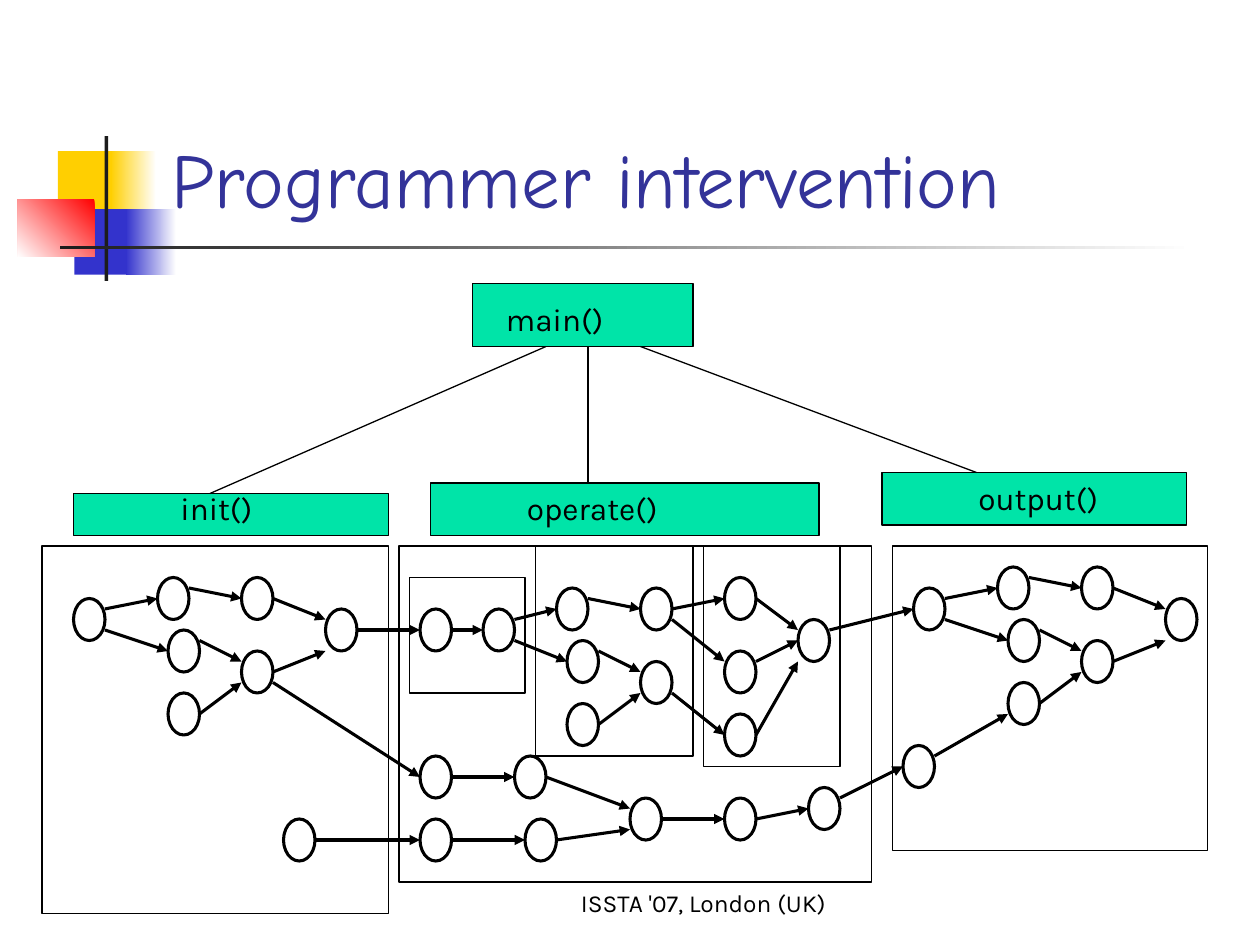
import pptx
import pptx.util
import pptx.dml.color
import pptx.enum.shapes
import pptx.enum.text
import pptx.oxml.ns
from lxml import etree
from dataclasses import dataclass

SHAPE = pptx.enum.shapes.MSO_SHAPE
ANCHOR = pptx.enum.text.MSO_ANCHOR
ALIGN = pptx.enum.text.PP_ALIGN


@dataclass(frozen=True)
class Theme:
    ink: str = "000000"
    title: str = "333399"
    call: str = "00E4A8"
    yellow: str = "FFCF01"
    blue: str = "3333CC"
    red: str = "FF0000"
    dark: str = "1C1C1C"
    white: str = "FFFFFF"
    title_font: str = "Comic Neue"
    body_font: str = "Karla"
    title_size: int = 44
    label_size: int = 18
    footer_size: int = 14
    thin: float = 0.75
    thick: float = 1.75


THEME = Theme()
UNIT = 1 / 12  # grid step in inches: the slide is 120 columns by 90 rows
NODE_WIDTH, NODE_HEIGHT = 3, 4

TITLE = "Programmer intervention"
FOOTER = ("ISSTA '07, London (UK)", (48, 82, 38, 6))

# Title ornament in inches: box, fill colours (two make a gradient), angle
ORNAMENT = [
    ((0.46, 1.2, 0.48, 0.52), [THEME.yellow], 0),
    ((0.88, 1.2, 0.36, 0.52), [THEME.white, THEME.yellow], 180),
    ((0.59, 1.66, 0.46, 0.52), [THEME.blue], 0),
    ((1, 1.66, 0.4, 0.52), [THEME.white, THEME.blue], 180),
    ((0.14, 1.58, 0.61, 0.46), [THEME.red, THEME.white], 225),
    ((0.83, 1.08, 0.03, 1.15), [THEME.dark], 0),
    ((0.48, 1.95, 9, 0.03), [THEME.white, THEME.dark], 180),
]

# Functions: name, box, label box (column, row, width, height)
FUNCTIONS = [
    ("main()", (45, 27, 21, 6), (47, 28, 17, 4.8)),
    ("init()", (7, 47, 30, 4), (16, 46, 18, 4.8)),
    ("operate()", (41, 46, 37, 5), (49, 46, 17, 4.8)),
    ("output()", (84, 45, 29, 5), (92, 45, 14, 4.8)),
]
CALLS = [((52, 33), (20, 47)), ((56, 33), (56, 46)), ((61, 33), (93, 45))]

# Regions of the task graph that belong to each function
REGIONS = [
    (39, 55, 11, 11), (51, 52, 15, 20), (67, 52, 13, 21),
    (4, 52, 33, 35), (38, 52, 45, 32), (85, 52, 30, 29),
]

# Fork-and-join cluster, repeated in each function at its own offset
CLUSTER_NODES = {
    "fork": (7, 57), "upper": (15, 55), "upper end": (23, 55),
    "middle": (16, 60), "lower": (16, 66), "lower end": (23, 62),
    "join": (31, 58),
}
# Edges: source, target, rows below the source's top and the target's top
CLUSTER_EDGES = [
    ("fork", "upper", 1, 2), ("fork", "middle", 3, 2),
    ("upper", "upper end", 1, 2), ("middle", "lower end", 1, 1),
    ("lower", "lower end", 2, 3), ("upper end", "join", 2, 1),
    ("lower end", "join", 2, 4),
]
CLUSTER_OFFSETS = {"init": (0, 0), "operate": (38, 1), "output": (80, -1)}

# Nodes placed singly; the operate cluster has its own fork and join
SINGLE_NODES = {
    "operate fork": (46, 58), "operate join": (76, 59), "entry": (40, 58),
    "top": (69, 55), "centre": (69, 62), "bottom": (69, 68),
    "source": (27, 78), "chain a1": (40, 72), "chain a2": (49, 72),
    "chain b1": (40, 78), "chain b2": (50, 78), "merge": (60, 76),
    "after merge": (69, 76), "last": (77, 75), "output entry": (86, 71),
}
SINGLE_EDGES = [
    ("init join", "entry", 2, 2), ("entry", "operate fork", 2, 2),
    ("operate upper end", "top", 2, 2), ("operate upper end", "centre", 3, 1),
    ("operate lower end", "bottom", 3, 2), ("top", "operate join", 2, 1),
    ("centre", "operate join", 1, 2), ("bottom", "operate join", 2, 4),
    ("operate join", "output fork", 1, 2),
    ("init lower end", "chain a1", 3, 2), ("source", "chain b1", 2, 2),
    ("chain a1", "chain a2", 2, 2), ("chain b1", "chain b2", 2, 2),
    ("chain a2", "merge", 2, 1), ("chain b2", "merge", 2, 3),
    ("merge", "after merge", 2, 2), ("after merge", "last", 2, 2),
    ("last", "output entry", 1, 2), ("output entry", "output lower", 1, 3),
]


def rgb(color):
    return pptx.dml.color.RGBColor.from_string(color)


def grid(values):
    return [pptx.util.Inches(value * UNIT) for value in values]


def add_shape(slide, kind, box, colors=(), angle=0, line_width=None):
    shape = slide.shapes.add_shape(kind, *box)
    shape.shadow.inherit = False
    if not colors:
        shape.fill.background()
    elif len(colors) == 1:
        shape.fill.solid()
        shape.fill.fore_color.rgb = rgb(colors[0])
    else:
        shape.fill.gradient()
        shape.fill.gradient_angle = angle
        for stop, color in zip(shape.fill.gradient_stops, colors):
            stop.color.rgb = rgb(color)
    if line_width:
        shape.line.color.rgb = rgb(THEME.ink)
        shape.line.width = pptx.util.Pt(line_width)
    else:
        shape.line.fill.background()


def add_line(slide, start, end, width, arrow=False):
    connector = slide.shapes.add_connector(
        pptx.enum.shapes.MSO_CONNECTOR.STRAIGHT, *grid(start), *grid(end))
    connector.line.color.rgb = rgb(THEME.ink)
    connector.line.width = pptx.util.Pt(width)
    if arrow:
        etree.SubElement(connector.line._get_or_add_ln(),
                         pptx.oxml.ns.qn("a:tailEnd"), type="triangle")
    etree.SubElement(connector._element.spPr, pptx.oxml.ns.qn("a:effectLst"))


def write(shape, text, font, size, color, anchor, align):
    frame = shape.text_frame
    frame.text = text
    frame.word_wrap = True
    frame.auto_size = pptx.enum.text.MSO_AUTO_SIZE.NONE
    frame.vertical_anchor = anchor
    paragraph = frame.paragraphs[0]
    paragraph.alignment = align
    run_font = paragraph.runs[0].font
    run_font.name = font
    run_font.size = pptx.util.Pt(size)
    run_font.color.rgb = rgb(color)


def build_graph():
    nodes, edges = dict(SINGLE_NODES), list(SINGLE_EDGES)
    for function, (dx, dy) in CLUSTER_OFFSETS.items():
        for name, (column, row) in CLUSTER_NODES.items():
            nodes.setdefault(f"{function} {name}", (column + dx, row + dy))
        for source, target, leave, arrive in CLUSTER_EDGES:
            if function == "operate" and target == "join":
                continue
            edges.append((f"{function} {source}", f"{function} {target}", leave, arrive))
    return nodes, edges


def main():
    presentation = pptx.Presentation()
    presentation.slide_width = pptx.util.Inches(10)
    presentation.slide_height = pptx.util.Inches(7.5)
    slide = presentation.slides.add_slide(presentation.slide_layouts[5])

    # Title and ornament
    for box, colors, angle in ORNAMENT:
        add_shape(slide, SHAPE.RECTANGLE, [pptx.util.Inches(v) for v in box], colors, angle)
    title = slide.shapes.title
    title.left, title.top, title.width, title.height = [
        pptx.util.Inches(v) for v in (1.26, 0.23, 8.52, 1.6)]
    write(title, TITLE, THEME.title_font, THEME.title_size, THEME.title,
          ANCHOR.BOTTOM, ALIGN.LEFT)

    # Call tree
    for name, box, label_box in FUNCTIONS:
        add_shape(slide, SHAPE.RECTANGLE, grid(box), [THEME.call], line_width=THEME.thin)
        write(slide.shapes.add_textbox(*grid(label_box)), name, THEME.body_font,
              THEME.label_size, THEME.ink, ANCHOR.TOP, ALIGN.LEFT)
    for start, end in CALLS:
        add_line(slide, start, end, THEME.thin)

    # Task graph: edges run from a node's right side to the next one's left
    nodes, edges = build_graph()
    for source, target, leave, arrive in edges:
        (x1, y1), (x2, y2) = nodes[source], nodes[target]
        add_line(slide, (x1 + NODE_WIDTH, y1 + leave), (x2, y2 + arrive),
                 THEME.thick, arrow=True)
    for position in nodes.values():
        add_shape(slide, SHAPE.OVAL, grid((*position, NODE_WIDTH, NODE_HEIGHT)),
                  line_width=THEME.thick)
    for region in REGIONS:
        add_shape(slide, SHAPE.RECTANGLE, grid(region), line_width=THEME.thin)

    # Footer
    text, box = FOOTER
    write(slide.shapes.add_textbox(*grid(box)), text, THEME.body_font,
          THEME.footer_size, THEME.ink, ANCHOR.BOTTOM, ALIGN.CENTER)

    presentation.save("out.pptx")


if __name__ == "__main__":
    main()
